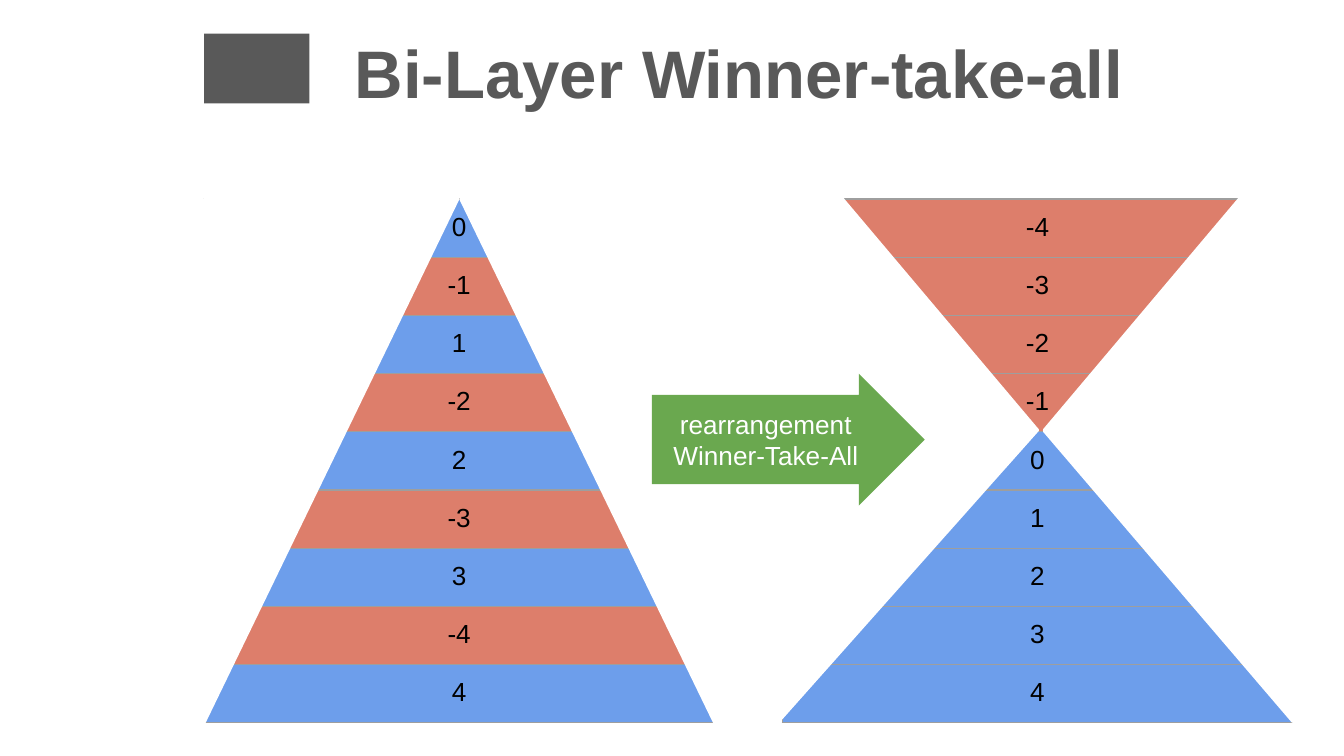
from lxml import etree
from pptx import Presentation
from pptx.dml.color import RGBColor
from pptx.enum.shapes import MSO_SHAPE
from pptx.enum.text import MSO_ANCHOR, PP_ALIGN
from pptx.oxml.ns import qn
from pptx.util import Pt

RECTANGLE = MSO_SHAPE.RECTANGLE
RIGHT_TRIANGLE = MSO_SHAPE.RIGHT_TRIANGLE
TRIANGLE = MSO_SHAPE.ISOSCELES_TRIANGLE
PARALLELOGRAM = MSO_SHAPE.PARALLELOGRAM
RIGHT_ARROW = MSO_SHAPE.RIGHT_ARROW
TOP, MIDDLE = MSO_ANCHOR.TOP, MSO_ANCHOR.MIDDLE
LEFT, CENTER = PP_ALIGN.LEFT, PP_ALIGN.CENTER

FONT = "Arial"
GREY, WHITE, BLACK = "595959", "FFFFFF", "000000"
BLUE, RED, GREEN, BORDER = "6D9EEB", "DD7E6B", "6AA84F", "9E9E9E"

TITLE = "Bi-Layer Winner-take-all"
ARROW_LINES = ["rearrangement", "Winner-Take-All"]
MIXED_LAYERS = [0, -1, 1, -2, 2, -3, 3, -4, 4]
SORTED_LAYERS = sorted(MIXED_LAYERS)

STACK_TOP, STACK_WIDTH, ROW_HEIGHT = 106.6, 273.6, 31.2
MIXED_LEFT, SORTED_LEFT = 109.2, 419

TITLE_BOX = (182.9, 13, 430.6, 42.5)
TITLE_MARK_BOX = (109.4, 18, 56.4, 37.4)
ARROW_BOX = (349.2, 200.2, 146.2, 70.6)

MASKS_MIXED = [
    (RIGHT_TRIANGLE, (109.2, 106.6, 136.1, 280.8), 180, True, None),
    (RIGHT_TRIANGLE, (246.8, 106.6, 136.1, 280.8), 180, False, None),
]
MASKS_SORTED = [
    (TRIANGLE, (347.8, 177.1, 278.6, 137.5), 90, False, 0.445),
    (TRIANGLE, (486.7, 180.7, 278.6, 133.2), 270, False, 0.559),
    (PARALLELOGRAM, (559.4, 106.6, 178.6, 123.8), 0, False, 0.844),
    (PARALLELOGRAM, (377.3, 106.6, 178.6, 123.8), 0, True, 0.844),
]


def colour(hex_code):
    return RGBColor.from_string(hex_code)


def add_painted(shapes, kind, box, fill, line=None):
    shape = shapes.add_shape(kind, *(Pt(value) for value in box))
    shape.shadow.inherit = False
    shape.fill.solid()
    shape.fill.fore_color.rgb = colour(fill)
    if line:
        shape.line.color.rgb = colour(line)
        shape.line.width = Pt(1.5)
    else:
        shape.line.fill.background()
    return shape


def write_run(paragraph, text, size, hex_code, bold=False):
    run = paragraph.add_run()
    run.text = text
    run.font.name = FONT
    run.font.size = Pt(size)
    run.font.bold = bold
    run.font.color.rgb = colour(hex_code)


def set_margins(holder, horizontal, vertical):
    holder.margin_left = holder.margin_right = Pt(horizontal)
    holder.margin_top = holder.margin_bottom = Pt(vertical)


def add_borders(cell):
    properties = cell._tc.get_or_add_tcPr()
    for side in ("a:lnL", "a:lnR", "a:lnT", "a:lnB"):
        edge = etree.SubElement(properties, qn(side), w=str(Pt(0.75)))
        solid = etree.SubElement(edge, qn("a:solidFill"))
        etree.SubElement(solid, qn("a:srgbClr"), val=BORDER)


def add_stack(shapes, layers, left):
    stack = shapes.add_table(
        len(layers), 1, Pt(left), Pt(STACK_TOP), Pt(STACK_WIDTH),
        Pt(ROW_HEIGHT * len(layers))).table
    stack.first_row = stack.horz_banding = False
    for index, layer in enumerate(layers):
        stack.rows[index].height = Pt(ROW_HEIGHT)
        cell = stack.cell(index, 0)
        add_borders(cell)
        cell.fill.solid()
        cell.fill.fore_color.rgb = colour(RED if layer < 0 else BLUE)
        set_margins(cell, 7.2, 7.2)
        paragraph = cell.text_frame.paragraphs[0]
        paragraph.alignment = CENTER
        write_run(paragraph, str(layer), 14, BLACK)


def add_masks(shapes, masks):
    for kind, box, rotation, flipped, adjustment in masks:
        mask = add_painted(shapes, kind, box, WHITE, WHITE)
        mask.rotation = rotation
        if flipped:
            mask._element.spPr.xfrm.set("flipH", "1")
        if adjustment:
            mask.adjustments[0] = adjustment


def add_title(title):
    title.left, title.top, title.width, title.height = (Pt(value) for value in TITLE_BOX)
    frame = title.text_frame
    frame.word_wrap = True
    frame.vertical_anchor = TOP
    set_margins(frame, 7.2, 3.6)
    paragraph = frame.paragraphs[0]
    paragraph.alignment = LEFT
    paragraph.line_spacing = 1.0
    write_run(paragraph, TITLE, 36, GREY, True)


def add_arrow(shapes):
    arrow = add_painted(shapes, RIGHT_ARROW, ARROW_BOX, GREEN)
    arrow.adjustments[0], arrow.adjustments[1] = 0.678, 0.5
    frame = arrow.text_frame
    frame.word_wrap = True
    frame.vertical_anchor = MIDDLE
    set_margins(frame, 7.2, 7.2)
    paragraph = frame.paragraphs[0]
    paragraph.alignment = CENTER
    for index, line in enumerate(ARROW_LINES):
        if index:
            paragraph.add_line_break()
        write_run(paragraph, line, 14, WHITE)


def main():
    deck = Presentation()
    deck.slide_width, deck.slide_height = Pt(720), Pt(405)
    slide = deck.slides.add_slide(deck.slide_layouts[5])
    shapes = slide.shapes
    add_title(shapes.title)
    add_painted(shapes, RECTANGLE, TITLE_MARK_BOX, GREY)
    add_stack(shapes, MIXED_LAYERS, MIXED_LEFT)
    add_masks(shapes, MASKS_MIXED)
    add_stack(shapes, SORTED_LAYERS, SORTED_LEFT)
    add_masks(shapes, MASKS_SORTED)
    add_arrow(shapes)
    deck.save("out.pptx")


if __name__ == "__main__":
    main()
